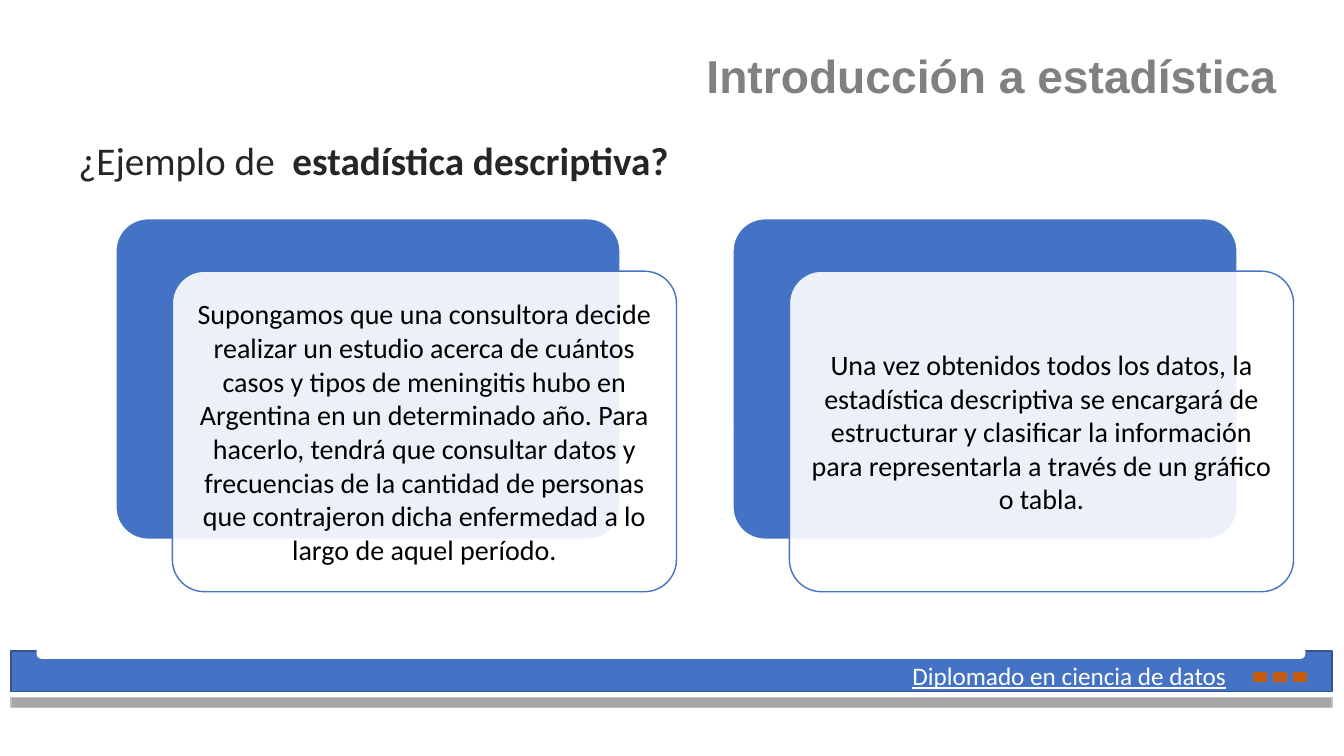
from lxml import etree
from pptx import Presentation
from pptx.dml.color import RGBColor
from pptx.enum.shapes import MSO_SHAPE as Preset
from pptx.enum.text import MSO_ANCHOR as Anchor, MSO_AUTO_SIZE as AutoSize, PP_ALIGN as Align
from pptx.oxml.ns import qn
from pptx.util import Inches, Pt

BLUE, WHITE, ORANGE = "4472C4", "FFFFFF", "C55A11"

TITLE = [("Introducción a estadística", {"bold": True})]
QUESTION = [
    ("\u00a0¿Ejemplo de \u00a0", {}),
    ("estadística descriptiva?", {"bold": True}),
]
PROGRAM = [("Diplomado en ciencia de datos", {"underline": True})]
CARDS = [
    "Supongamos que una consultora decide realizar un estudio acerca de cuántos "
    "casos y tipos de meningitis hubo en Argentina en un determinado año. Para "
    "hacerlo, tendrá que consultar datos y frecuencias de la cantidad de personas "
    "que contrajeron dicha enfermedad a lo largo de aquel período.",
    "Una vez obtenidos todos los datos, la estadística descriptiva se encargará de "
    "estructurar y clasificar la información para representarla a través de un "
    "gráfico o tabla.",
]

# Footer bands: preset, (left, top, width, height), fill, line
FOOTER_BANDS = [
    (Preset.RECTANGLE, (0.11, 6.46, 13.1, 0.4), BLUE, "325491"),
    (Preset.ROUNDED_RECTANGLE, (0.37, 6.27, 12.57, 0.26), WHITE, WHITE),
    (Preset.RECTANGLE, (0.11, 6.92, 13.1, 0.1), "A6A6A6", "BFBFBF"),
]
DOT_COUNT, DOT_LEFT, DOT_STEP = 3, 12.43, 0.2

CARD_LEFT, CARD_TOP, CARD_STEP = 1.15, 2.17, 6.12
CARD_SIZE = (5, 3.18)
CARD_SHIFT = (0.56, 0.52)
CARD_CORNER = 0.1


def rgb(color):
    """Turn a hex string into a colour."""
    return RGBColor.from_string(color)


def add_panel(slide, preset, box, fill, line, opacity=None, corner=None):
    """Add a filled, outlined shape without a shadow."""
    panel = slide.shapes.add_shape(preset, *map(Inches, box))
    panel.shadow.inherit = False
    panel.fill.solid()
    panel.fill.fore_color.rgb = rgb(fill)
    panel.line.color.rgb = rgb(line)
    panel.line.width = Pt(1)
    if corner is not None:
        panel.adjustments[0] = corner
    if opacity is not None:
        solid = panel.fill._xPr.find(qn("a:solidFill"))
        etree.SubElement(solid[0], qn("a:alpha"), val=str(opacity * 1000))
    return panel


def write(holder, runs, size, color, font="Calibri", insets=(0.1, 0.05, 0.1, 0.05),
          frame_format=None, paragraph_format=None):
    """Write one paragraph of formatted runs into a shape or text box."""
    frame = holder.text_frame
    frame.word_wrap = True
    sides = ("margin_left", "margin_top", "margin_right", "margin_bottom")
    margins = dict(zip(sides, map(Inches, insets)))
    paragraph = frame.paragraphs[0]
    for target, values in ((frame, margins), (frame, frame_format),
                           (paragraph, paragraph_format)):
        for name, value in (values or {}).items():
            setattr(target, name, value)
    for words, emphasis in runs:
        run = paragraph.add_run()
        run.text = words
        run.font.color.rgb = rgb(color)
        for name, value in {"name": font, "size": Pt(size), **emphasis}.items():
            setattr(run.font, name, value)


def add_text(slide, box, runs, size, color, **formats):
    """Add a text box holding one paragraph."""
    write(slide.shapes.add_textbox(*map(Inches, box)), runs, size, color, **formats)


def add_footer(slide):
    """Draw the footer bands, the dots and the program name."""
    for preset, box, fill, line in FOOTER_BANDS:
        add_panel(slide, preset, box, fill, line)
    for index in range(DOT_COUNT):
        dot_box = (DOT_LEFT + index * DOT_STEP, 6.67, 0.13, 0.09)
        add_panel(slide, Preset.RECTANGLE, dot_box, ORANGE, ORANGE)
    add_text(slide, (8.95, 6.5, 3.45, 0.4), PROGRAM, 18, WHITE,
             frame_format={"auto_size": AutoSize.SHAPE_TO_FIT_TEXT})


def add_card(slide, left, words):
    """Draw a blue back panel and a shifted translucent panel with the text."""
    rounded = Preset.ROUNDED_RECTANGLE
    add_panel(slide, rounded, (left, CARD_TOP, *CARD_SIZE), BLUE, WHITE,
              corner=CARD_CORNER)
    front_box = (left + CARD_SHIFT[0], CARD_TOP + CARD_SHIFT[1], *CARD_SIZE)
    front = add_panel(slide, rounded, front_box, WHITE, BLUE, opacity=90,
                      corner=CARD_CORNER)
    write(front, [(words, {})], 20, "000000", insets=(0.08,) * 4,
          frame_format={"vertical_anchor": Anchor.MIDDLE},
          paragraph_format={"alignment": Align.CENTER})


deck = Presentation()
deck.slide_width, deck.slide_height = Inches(13.33), Inches(7.5)
slide = deck.slides.add_slide(deck.slide_layouts[6])

add_footer(slide)
add_text(slide, (6.86, 0.45, 5.9, 0.6), TITLE, 33, "808080", font="Arial",
         frame_format={"vertical_anchor": Anchor.BOTTOM},
         paragraph_format={"alignment": Align.RIGHT, "line_spacing": 0.7})
add_text(slide, (0.59, 1.4, 8.72, 0.51), QUESTION, 28, "262626",
         insets=(0.1, 0, 0.1, 0.1),
         paragraph_format={"line_spacing": 0.9, "space_after": Pt(12)})
for index, words in enumerate(CARDS):
    add_card(slide, CARD_LEFT + index * CARD_STEP, words)

deck.save("out.pptx")
